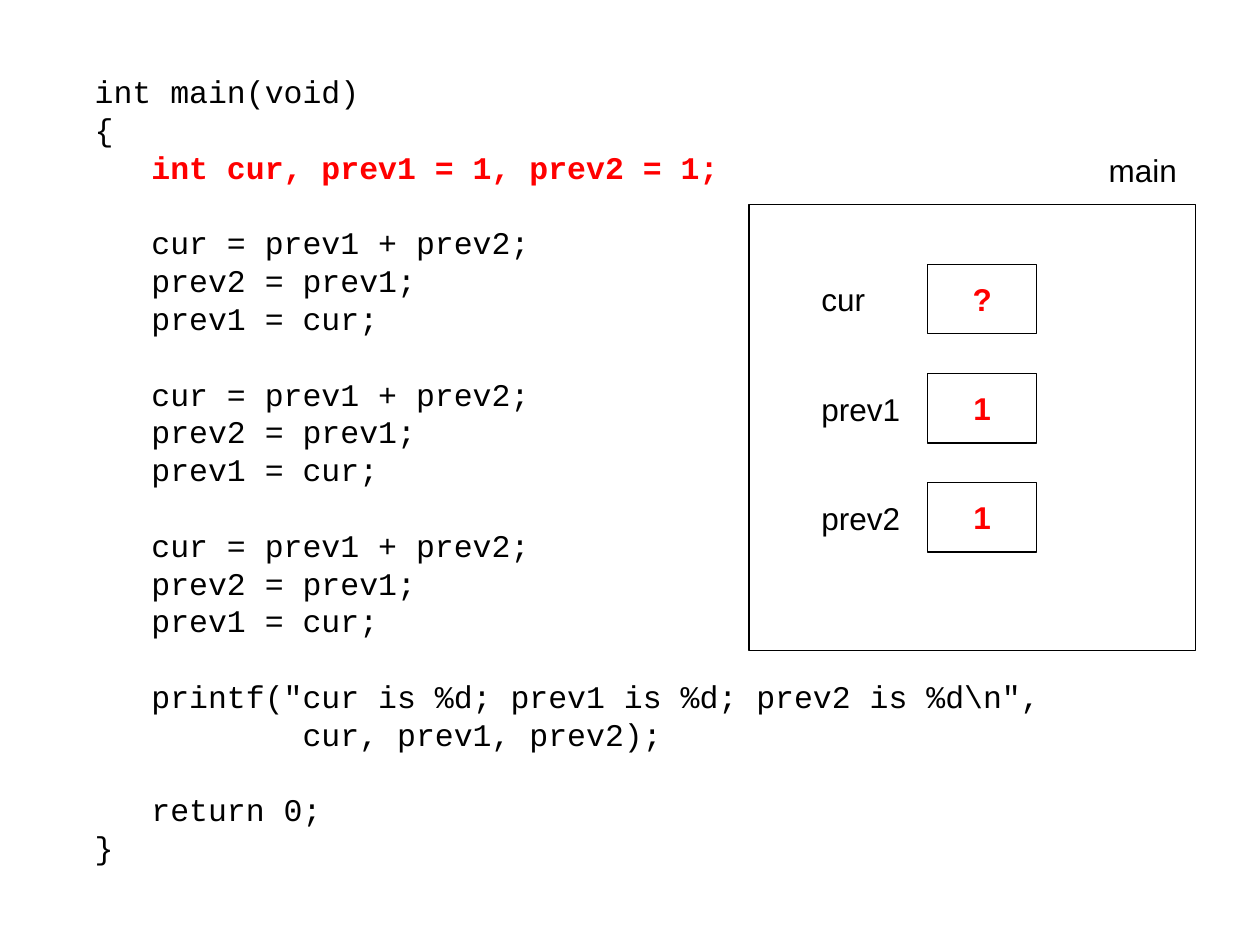
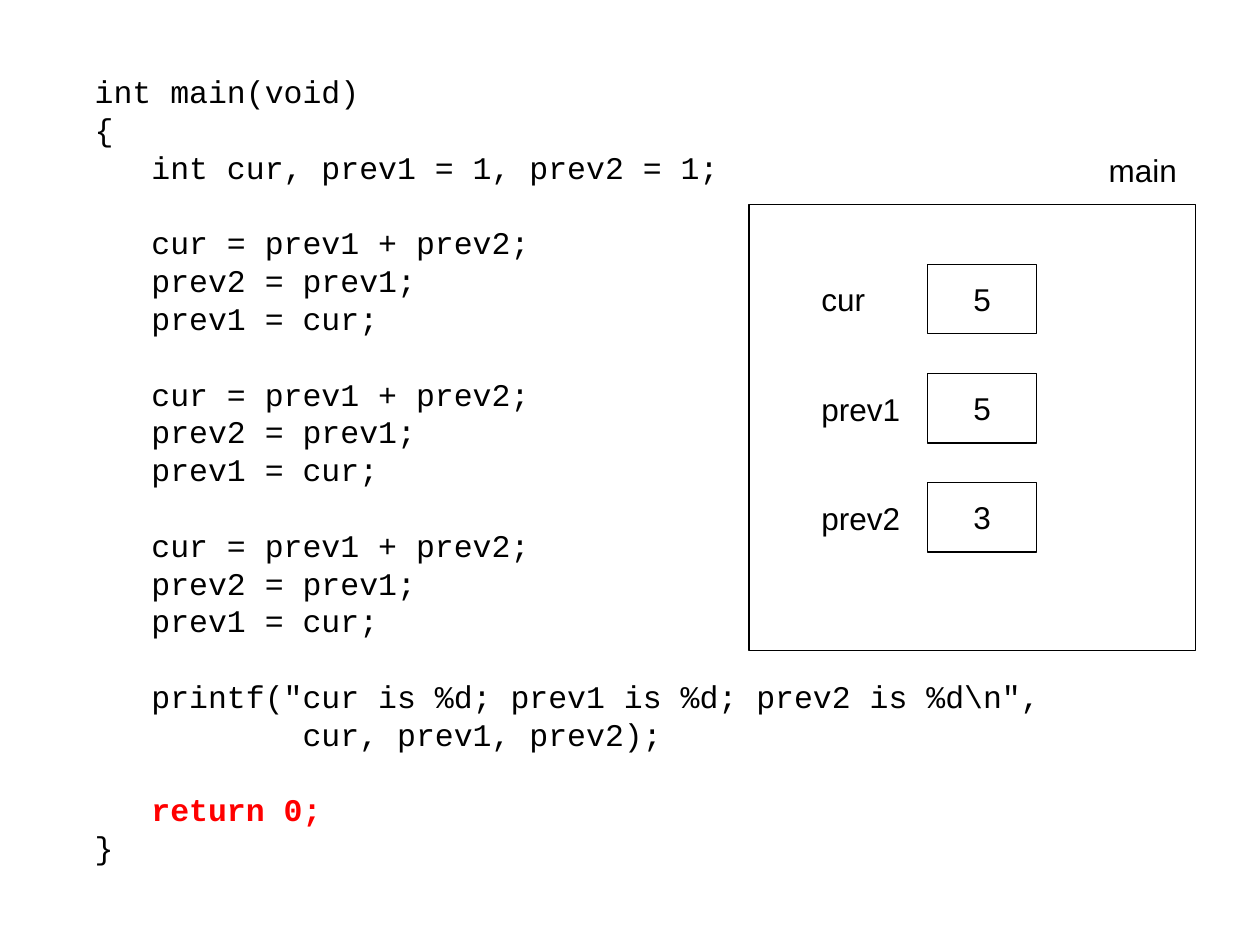
import pptx
import pptx.dml.color
import pptx.enum.shapes
import pptx.enum.text
import pptx.util
from pptx.util import Cm

BLACK, RED = "000000", "FF0000"
LINE_HEIGHT = pptx.util.Pt(21.6)

# Each string is one line of code; each inner tuple is a block set off by a gap
CYCLE = ("   cur = prev1 + prev2;", "   prev2 = prev1;", "   prev1 = cur;")
CODE_BLOCKS = (
    ("int main(void)", "{", "   int cur, prev1 = 1, prev2 = 1;"),
    CYCLE,
    CYCLE,
    CYCLE,
    ('   printf("cur is %d; prev1 is %d; prev2 is %d\\n",',
     "           cur, prev1, prev2);"),
    ("   return 0;", "}"),
)

# Variable name and width of its label, wide enough for one line
VARIABLES = (("cur", 1.5), ("prev1", 2.2), ("prev2", 2.2))

# Code line being run, values in memory, whether the values have just changed
STEPS = (
    ("int cur, prev1 = 1, prev2 = 1;", ("?", "1", "1"), True),
    ("return 0;", ("5", "5", "3"), False),
)


def rgb(hex_code):
    return pptx.dml.color.RGBColor.from_string(hex_code)


def write(box, lines, font_name="Arial", marked=()):
    """Fill a box with lines; the marked ones are bold and red."""
    frame = box.text_frame
    frame.word_wrap = False
    frame.text = "\n".join(lines)
    for para in frame.paragraphs:
        para.line_spacing = LINE_HEIGHT
        is_marked = para.text.strip() in marked
        for span in para.runs:
            span.font.name = font_name
            span.font.size = pptx.util.Pt(18)
            span.font.bold = is_marked
            span.font.color.rgb = rgb(RED if is_marked else BLACK)


deck = pptx.Presentation()
deck.slide_width, deck.slide_height = Cm(25.4), Cm(19.05)

for current_line, values, changed in STEPS:
    slide = deck.slides.add_slide(deck.slide_layouts[6])

    # Program listing, with a line's gap before each later block
    listing = slide.shapes.add_textbox(Cm(1.66), Cm(1.33), Cm(19.56), Cm(16.26))
    write(listing, [line for block in CODE_BLOCKS for line in block],
          "Courier New", (current_line,))
    first_line = 0
    for block in CODE_BLOCKS[:-1]:
        first_line += len(block)
        listing.text_frame.paragraphs[first_line].space_before = LINE_HEIGHT

    # Stack frame of main
    stack = slide.shapes.add_group_shape()
    outlined = [stack.shapes.add_shape(
        pptx.enum.shapes.MSO_SHAPE.RECTANGLE, Cm(15.1), Cm(4.12), Cm(9), Cm(9))]
    write(stack.shapes.add_textbox(Cm(22.1), Cm(2.92), Cm(2), Cm(1.02)), ["main"])

    # Variables: a cell with the value and a label to its left
    for row, ((name, label_width), value) in enumerate(zip(VARIABLES, values)):
        top = 5.33 + 2.2 * row
        cell = slide.shapes.add_shape(
            pptx.enum.shapes.MSO_SHAPE.RECTANGLE, Cm(18.7), Cm(top), Cm(2.2), Cm(1.4))
        write(cell, [value], marked=(value,) if changed else ())
        cell.text_frame.vertical_anchor = pptx.enum.text.MSO_ANCHOR.MIDDLE
        cell.text_frame.paragraphs[0].alignment = pptx.enum.text.PP_ALIGN.CENTER
        outlined.append(cell)
        label = slide.shapes.add_textbox(
            Cm(16.31), Cm(top + 0.2), Cm(label_width), Cm(1.02))
        write(label, [name])

    # Thin black outlines without fill
    for box in outlined:
        box.shadow.inherit = False
        box.fill.background()
        box.line.color.rgb = rgb(BLACK)
        box.line.width = pptx.util.Pt(0.75)

deck.save("out.pptx")
